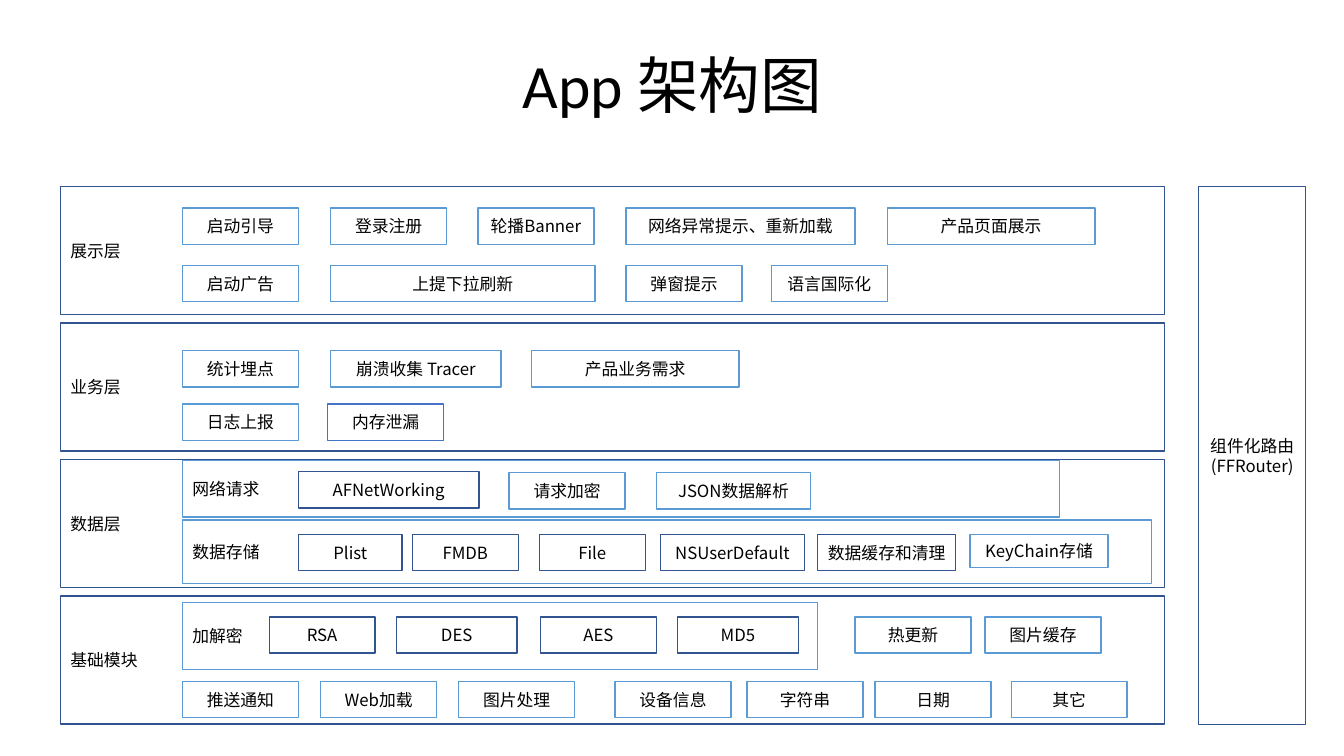
from pptx import Presentation
from pptx.dml.color import RGBColor
from pptx.enum.shapes import MSO_SHAPE
from pptx.enum.text import MSO_ANCHOR, MSO_AUTO_SIZE, PP_ALIGN
from pptx.oxml.xmlchemy import OxmlElement
from pptx.util import Inches, Pt

COLORS = {"white": "FFFFFF", "black": "000000", "navy": "325491", "sky": "5B9BD5", "blue": "4472C4"}
CELL = Inches(0.1)
CJK_FONT = "Noto Sans CJK SC"
CHIP_WIDTH, CHIP_HEIGHT = 11.5, 3.6
LEFT_EDGE, CHIP_EDGE, LAYER_WIDTH = 6, 18.1, 109.5
LAYER_TOP, LAYER_PITCH, LAYER_HEIGHT = 18.5, 13.55, 12.7
LAYERS = ["展示层", "业务层", "数据层", "基础模块"]
GROUPS = [
    ("网络请求", 45.7, 87, 5.6),
    ("数据存储", 51.6, 96.1, 6.3),
    ("加解密", 59.8, 63, 6.6),
]
CHIP_ROWS = [
    (20.65, "sky", [("启动引导", 18.1), ("登录注册", 32.8), ("轮播Banner", 47.4),
                    ("网络异常提示、重新加载", 62.1, 22.7), ("产品页面展示", 88, 20.6)]),
    (26.35, "sky", [("启动广告", 18.1), ("上提下拉刷新", 32.8, 26.2), ("弹窗提示", 62.1),
                    ("语言国际化", 76.5)]),
    (34.8, "sky", [("统计埋点", 18.1), ("崩溃收集 Tracer", 32.8, 16.9), ("产品业务需求", 52.7, 20.6)]),
    (40.1, "sky", [("日志上报", 18.1)]),
    (40.1, "blue", [("内存泄漏", 32.5)]),
    (46.8, "navy", [("AFNetWorking", 29.6, 17.9)]),
    (46.9, "sky", [("请求加密", 50.5), ("JSON数据解析", 65.1, 15.3)]),
    (53, "navy", [("Plist", 29.6, 10.3), ("FMDB", 40.9, 10.5), ("File", 53.5, 10.5),
                  ("NSUserDefault", 65.5, 14.3), ("数据缓存和清理", 81.1, 13.7)]),
    (53, "sky", [("KeyChain存储", 96.2, 13.7, 3.3)]),
    (61.2, "navy", [("RSA", 26.7, 10.5), ("DES", 39.3, 12), ("AES", 53.6), ("MD5", 67.2, 12)]),
    (61.2, "sky", [("热更新", 84.8), ("图片缓存", 97.7)]),
    (67.6, "sky", [("推送通知", 18.1), ("Web加载", 31.8), ("图片处理", 45.5), ("设备信息", 61),
                   ("字符串", 74.1), ("日期", 86.8), ("其它", 100.3)]),
]


def color(name):
    """Return the named colour."""
    return RGBColor.from_string(COLORS[name])


def write(frame, text, size, latin, align, spacing=1.0):
    """Fill a text frame, one paragraph per line of text."""
    frame.text = text
    frame_format = {"word_wrap": True, "auto_size": MSO_AUTO_SIZE.NONE, "vertical_anchor": MSO_ANCHOR.MIDDLE}
    for name, value in frame_format.items():
        setattr(frame, name, value)
    for paragraph in frame.paragraphs:
        paragraph.alignment, paragraph.line_spacing = align, spacing
        font = paragraph.runs[0].font
        for name, value in {"size": Pt(size), "name": latin}.items():
            setattr(font, name, value)
        font.color.rgb = color("black")
        east_asian = OxmlElement("a:ea")
        east_asian.set("typeface", CJK_FONT)
        paragraph.runs[0]._r.get_or_add_rPr().find("{*}latin").addnext(east_asian)


def add_box(slide, text, cells, line, align=PP_ALIGN.CENTER):
    """Add an outlined white box placed in grid cells."""
    shape = slide.shapes.add_shape(MSO_SHAPE.RECTANGLE, *(round(n * CELL) for n in cells))
    shape.shadow.inherit = False
    shape.fill.solid()
    shape.fill.fore_color.rgb = color("white")
    shape.line.color.rgb = color(line)
    shape.line.width = Pt(1)
    write(shape.text_frame, text, 12, CJK_FONT, align)


def add_title(slide, text):
    """Place and format the title placeholder."""
    title = slide.shapes.title
    place = {"left": 9.2, "top": 4, "width": 115, "height": 9.5}
    for name, value in place.items():
        setattr(title, name, round(value * CELL))
    write(title.text_frame, text, 44, "Calibri", PP_ALIGN.CENTER, 0.9)


def add_chips(slide, top, line, chips):
    """Add one row of module boxes."""
    for text, left, *size in chips:
        width, height = (*size, *(CHIP_WIDTH, CHIP_HEIGHT)[len(size):])
        add_box(slide, text, (left, top, width, height), line)


def main():
    """Build the app architecture slide."""
    presentation = Presentation()
    presentation.slide_width, presentation.slide_height = Inches(13.33), Inches(7.5)
    slide = presentation.slides.add_slide(presentation.slide_layouts[5])
    add_title(slide, "App 架构图")
    for index, name in enumerate(LAYERS):
        top = LAYER_TOP + index * LAYER_PITCH
        add_box(slide, name, (LEFT_EDGE, top, LAYER_WIDTH, LAYER_HEIGHT), "navy", PP_ALIGN.LEFT)
    for name, top, width, height in GROUPS:
        add_box(slide, name, (CHIP_EDGE, top, width, height), "sky", PP_ALIGN.LEFT)
    for row in CHIP_ROWS:
        add_chips(slide, *row)
    router_height = (len(LAYERS) - 1) * LAYER_PITCH + LAYER_HEIGHT
    add_box(slide, "组件化路由\n(FFRouter)", (118.9, LAYER_TOP, 10.6, router_height), "navy")
    presentation.save("out.pptx")


main()
